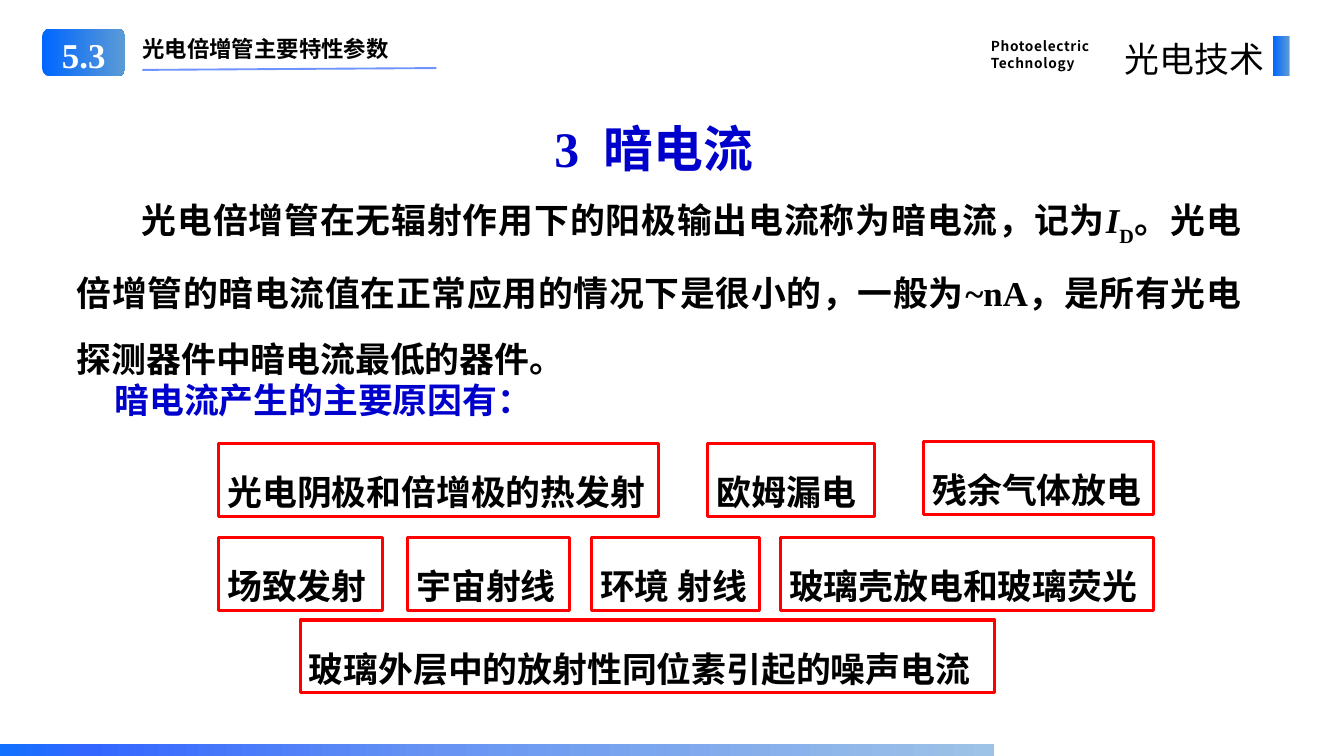
from lxml import etree
from pptx import Presentation
from pptx.dml.color import RGBColor
from pptx.enum import shapes, text
from pptx.oxml.ns import qn
from pptx.util import Pt

BLACK = RGBColor(0, 0, 0)
WHITE = RGBColor(255, 255, 255)
NAVY = RGBColor(0x00, 0x00, 0xCC)
RED = RGBColor(255, 0, 0)
BLUE = RGBColor(0x33, 0x66, 0xFF)
BRIGHT = RGBColor(0x00, 0x66, 0xFF)
STEEL = RGBColor(0x5B, 0x9B, 0xD5)
AZURE = RGBColor(0x12, 0x71, 0xFE)
SOFT = RGBColor(0x68, 0x95, 0xF3)
PALE = RGBColor(0x9D, 0xC3, 0xE6)
SANS, SERIF = "Noto Sans CJK SC", "Times New Roman"
LEFT, CENTER, RIGHT, JUSTIFY = (text.PP_ALIGN.LEFT, text.PP_ALIGN.CENTER,
                                text.PP_ALIGN.RIGHT, text.PP_ALIGN.JUSTIFY)


def write(sp, lines, size=28, font=SANS, color=BLACK, bold=True, align=LEFT,
          leading=None, spacing=0, top=3.6, indent=0, anchor=text.MSO_ANCHOR.TOP):
    tf = sp.text_frame
    tf.word_wrap = True
    tf.vertical_anchor = anchor
    tf.margin_top = Pt(top)
    for i, line in enumerate(lines):
        p = tf.add_paragraph() if i else tf.paragraphs[0]
        p.alignment = align
        if leading:
            p.line_spacing = Pt(leading)
        if indent:
            p._p.get_or_add_pPr().set("indent", str(Pt(indent)))
        for content, attrs in line:
            r = p.add_run()
            r.text = content
            r.font.size, r.font.name, r.font.bold = Pt(size), font, bold
            r.font.color.rgb = color
            rPr = r._r.get_or_add_rPr()
            etree.SubElement(rPr, qn("a:ea")).set("typeface", SANS)
            if spacing:
                rPr.set("spc", str(round(spacing * 100)))
            for key, value in attrs.items():
                rPr.set(key, value)


def gradient_shape(kind, x, y, w, h, stops):
    sp = s.shapes.add_shape(kind, Pt(x), Pt(y), Pt(w), Pt(h))
    sp.shadow.inherit = False
    sp.line.fill.background()
    sp.fill.gradient()
    sp.fill.gradient_angle = 0
    gs_list = sp._element.spPr.find(qn("a:gradFill")).find(qn("a:gsLst"))
    for gs in list(gs_list):
        gs_list.remove(gs)
    for pos, color in stops:
        gs = etree.SubElement(gs_list, qn("a:gs"), pos=str(pos * 1000))
        etree.SubElement(gs, qn("a:srgbClr"), val=str(color))
    return sp


prs = Presentation()
prs.slide_width, prs.slide_height = Pt(1080), Pt(607.5)
s = prs.slides.add_slide(prs.slide_layouts[6])

body = [("光电倍增管在无辐射作用下的阳极输出电流称为暗电流，记为", {}),
        ("I", {"i": "1"}),
        ("D", {"baseline": "-30000"}),
        ("。光电倍增管的暗电流值在正常应用的情况下是很小的，一般为~nA，"
         "是所有光电探测器件中暗电流最低的器件。", {})]
texts = [
    (373, 92.2, 304.6, 37.4, [[("3", {}), (" ", {"spc": "1000"}), ("暗电流", {})]],
     dict(size=40, font=SERIF, color=NAVY, align=CENTER, leading=47)),
    (54.7, 139, 949.7, 159.8, [body],
     dict(font=SERIF, align=JUSTIFY, leading=53, top=7.2, indent=52)),
    (85, 298.1, 355.7, 41, [[("暗电流产生的主要原因有：", {})]],
     dict(color=NAVY, leading=36.6)),
    (107.3, 23, 252, 28.8, [[("光电倍增管主要特性参数", {})]],
     dict(size=18, leading=23)),
    (789.1, 25.9, 113.8, 35.3, [[("Photoelectric", {})], [("Technology", {})]],
     dict(size=11, leading=14, spacing=0.5)),
    (886.3, 23, 136.8, 41, [[("光电技术", {})]],
     dict(bold=False, align=RIGHT, leading=37, spacing=0.2)),
]
for x, y, w, h, lines, style in texts:
    sp = s.shapes.add_textbox(Pt(x), Pt(y), Pt(w), Pt(h))
    write(sp, lines, **style)

causes = [
    (175.7, 356.4, 353.5, "光电阴极和倍增极的热发射"),
    (568.8, 356.4, 133.9, "欧姆漏电"),
    (742.3, 355, 184.3, "残余气体放电"),
    (175.7, 432, 131.8, "场致发射"),
    (327.6, 432, 130.3, "宇宙射线"),
    (475.2, 432, 135.4, "环境 射线"),
    (627.1, 432, 300.2, "玻璃壳放电和玻璃荧光"),
    (241.2, 498.2, 558, "玻璃外层中的放射性同位素引起的噪声电流"),
]
for x, y, w, cause in causes:
    sp = s.shapes.add_shape(shapes.MSO_SHAPE.RECTANGLE, Pt(x), Pt(y), Pt(w), Pt(58.3))
    sp.shadow.inherit = False
    sp.fill.background()
    sp.line.color.rgb = RED
    sp.line.width = Pt(2.5)
    write(sp, [[(cause, {})]], leading=52)

accent = [(0, BRIGHT), (100, STEEL)]
gradient_shape(shapes.MSO_SHAPE.RECTANGLE, 1023.1, 28.8, 13, 32.4, accent)
badge = gradient_shape(shapes.MSO_SHAPE.ROUNDED_RECTANGLE, 33.8, 23, 67, 38.2, accent)
write(badge, [[("5.3", {})]], font=SERIF, color=WHITE, align=CENTER, top=7.6,
      anchor=text.MSO_ANCHOR.MIDDLE)
gradient_shape(shapes.MSO_SHAPE.RECTANGLE, 0, 597.6, 798.5, 9.9,
               [(0, AZURE), (9, BLUE), (45, SOFT), (100, PALE)])

rule = s.shapes.add_connector(shapes.MSO_CONNECTOR.STRAIGHT,
                              Pt(114.5), Pt(56.2), Pt(350.6), Pt(54.7))
rule.line.color.rgb = BLUE
rule.line.width = Pt(1.5)
color = next(rule._element.spPr.iter(qn("a:srgbClr")))
etree.SubElement(color, qn("a:alpha"), val="70000")
etree.SubElement(rule._element.spPr, qn("a:effectLst"))

prs.save("out.pptx")
